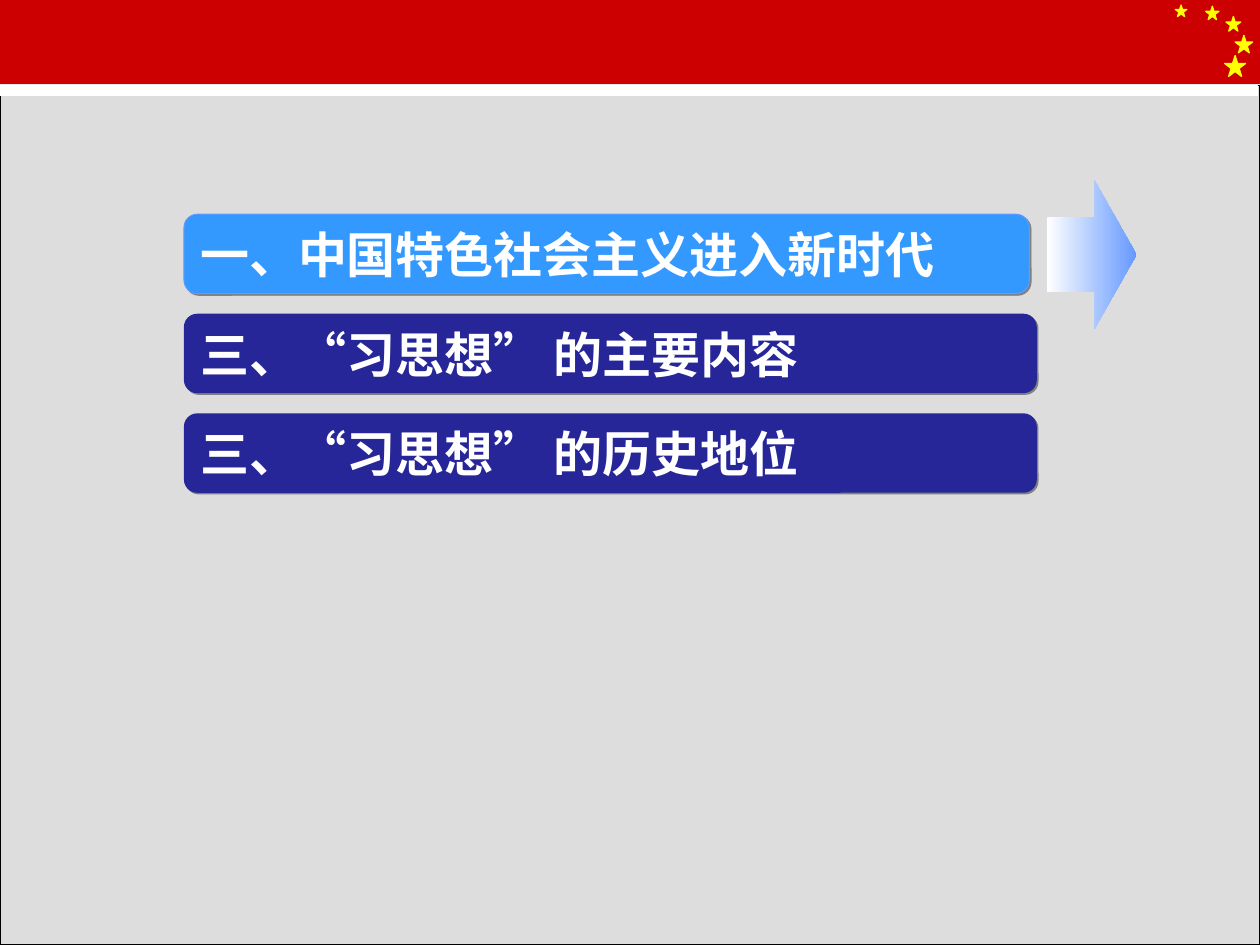
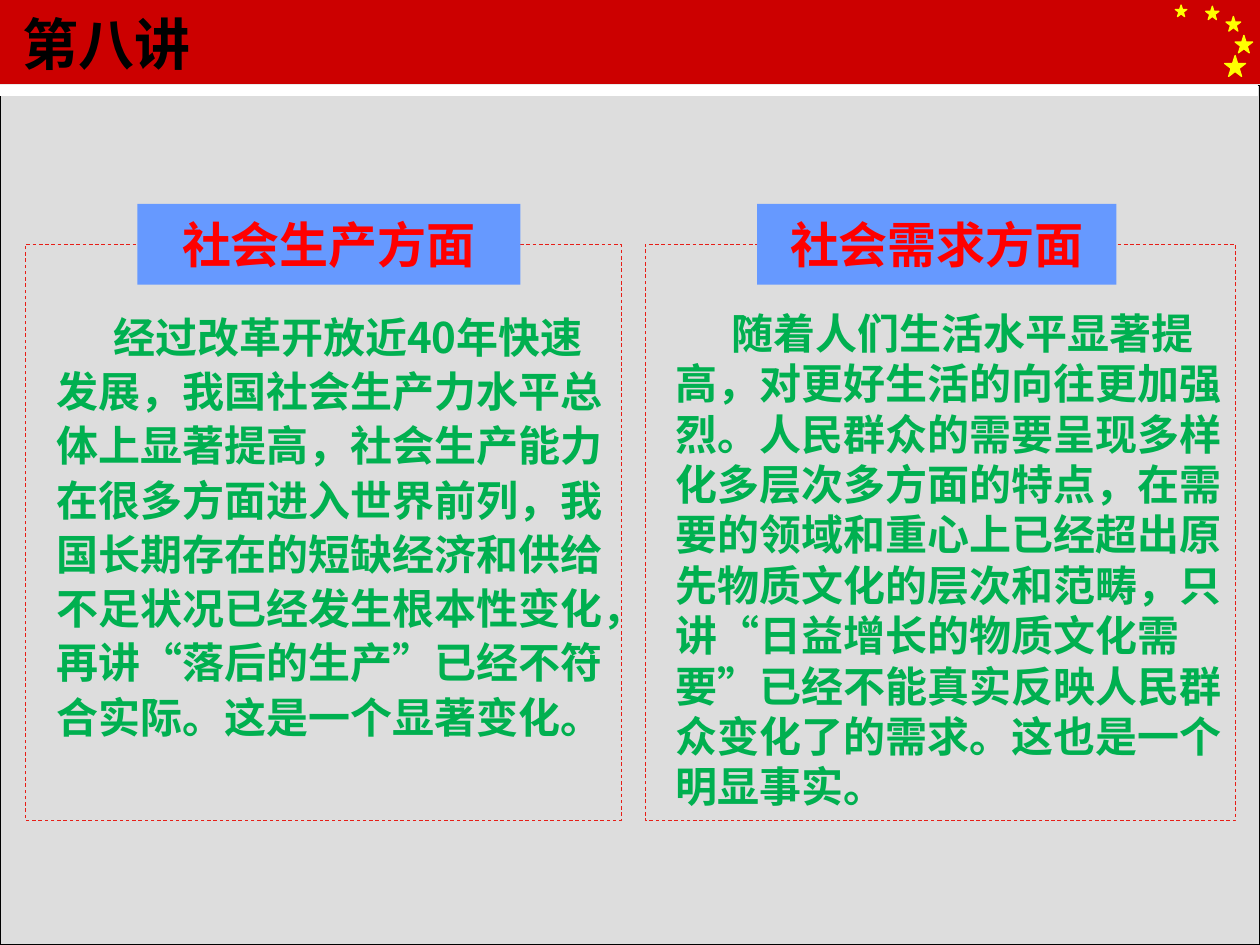
"""Build two lecture slides: an agenda and a two-column comparison."""
from lxml.etree import SubElement
from pptx import Presentation
from pptx.dml.color import RGBColor as RGB
from pptx.enum.dml import MSO_LINE
from pptx.enum.shapes import MSO_SHAPE as SHAPE
from pptx.enum.text import MSO_ANCHOR as ANCHOR, PP_ALIGN as ALIGN
from pptx.oxml.ns import qn
from pptx.util import Pt

AGENDA = ["一、中国特色社会主义进入新时代", "三、“习思想” 的主要内容", "三、“习思想” 的历史地位"]
TITLE = "第八讲"
COLUMNS = [
    dict(heading="社会生产方面", frame=(14.4, 340.6), tab=(78.5, 218.9), text=(25.2, 329), leading=31,
         body="经过改革开放近40年快速发展，我国社会生产力水平总体上显著提高，社会生产能力在很多方面进入世界前列，"
              "我国长期存在的短缺经济和供给不足状况已经发生根本性变化，再讲“落后的生产”已经不符合实际。"
              "这是一个显著变化。"),
    dict(heading="社会需求方面", frame=(368.6, 337.7), tab=(432.7, 205.2), text=(378.7, 327.6), leading=28.8,
         body="随着人们生活水平显著提高，对更好生活的向往更加强烈。人民群众的需要呈现多样化多层次多方面的特点，"
              "在需要的领域和重心上已经超出原先物质文化的层次和范畴，只讲“日益增长的物质文化需要”"
              "已经不能真实反映人民群众变化了的需求。这也是一个明显事实。"),
]
STARS = [(699.8, 31.7, 12), (689, 3.6, 7.6), (671.6, 2.9, 6.6), (700.6, 9.4, 8.4), (705.8, 20.2, 10)]

WIDTH, HEIGHT = 720, 540
BAND_H, PANEL_Y = 48, 49
BAR_X, BAR_Y, BAR_W, BAR_H, BAR_STEP = 105.1, 122.4, 487.4, 45.4, 56.9
CJK, SERIF = "Noto Sans CJK SC", "Times New Roman"

WHITE, BLACK = RGB(255, 255, 255), RGB(0, 0, 0)
BACKDROP, PANEL = RGB(0xEA, 0xEA, 0xEA), RGB(0xDD, 0xDD, 0xDD)
FLAG_RED, YELLOW = RGB(0xCC, 0, 0), RGB(255, 255, 0)
SKY, NAVY, PERIWINKLE = RGB(0x33, 0x99, 0xFF), RGB(0x26, 0x26, 0x99), RGB(0x66, 0x99, 0xFF)
FRAME_RED, RED, GREEN = RGB(0xE7, 0x1E, 0x17), RGB(255, 0, 0), RGB(0, 0xB0, 0x50)


def add_shape(s, kind, x, y, w, h, fill=None, line=None, line_w=0.75):
    sp = s.shapes.add_shape(kind, Pt(x), Pt(y), Pt(w), Pt(h))
    sp.shadow.inherit = False
    if fill is None:
        sp.fill.background()
    else:
        sp.fill.solid()
        sp.fill.fore_color.rgb = fill
    if line is None:
        sp.line.fill.background()
    else:
        sp.line.color.rgb = line
        sp.line.width = Pt(line_w)
    return sp


def write(sp, text, size, color, font=CJK, align=ALIGN.LEFT, anchor=ANCHOR.MIDDLE):
    tf = sp.text_frame
    tf.word_wrap = True
    tf.vertical_anchor = anchor
    p = tf.paragraphs[0]
    p.alignment = align
    r = p.add_run()
    r.text = text
    r.font.size, r.font.bold, r.font.name = Pt(size), True, font
    r.font.color.rgb = color
    SubElement(r.font._element, qn("a:ea"), typeface=CJK)
    return p


def add_textbox(s, x, y, w, h):
    return s.shapes.add_textbox(Pt(x), Pt(y), Pt(w), Pt(h))


def drop_shadow(sp):
    effects = sp._element.spPr.find(qn("a:effectLst"))
    shadow = SubElement(effects, qn("a:outerShdw"), blurRad="0", dist=str(Pt(1.4)),
                        dir="2700000", algn="ctr", rotWithShape="0")
    SubElement(shadow, qn("a:srgbClr"), val="808080")


def new_slide(prs):
    s = prs.slides.add_slide(prs.slide_layouts[6])
    s.background.fill.solid()
    s.background.fill.fore_color.rgb = BACKDROP
    add_shape(s, SHAPE.RECTANGLE, 0, 0, WIDTH, BAND_H, FLAG_RED)
    for x, y, size in STARS:
        add_shape(s, SHAPE.STAR_5_POINT, x, y, size, size, YELLOW, YELLOW)
    add_shape(s, SHAPE.RECTANGLE, 0, PANEL_Y, WIDTH, HEIGHT - PANEL_Y, PANEL, BLACK)
    add_shape(s, SHAPE.RECTANGLE, 0, PANEL_Y, 718.6, 5.6, WHITE, WHITE)
    return s


def build_agenda(prs):
    s = new_slide(prs)
    for i, item in enumerate(AGENDA):
        current = i == 0
        bar = add_shape(s, SHAPE.ROUNDED_RECTANGLE, BAR_X, BAR_Y + i * BAR_STEP,
                        483.1 if current else BAR_W, BAR_H,
                        SKY if current else NAVY, PERIWINKLE if current else None, 0.5)
        drop_shadow(bar)
        write(bar, item, 28, WHITE, SERIF)
    arrow = add_shape(s, SHAPE.RIGHT_ARROW, 598.3, 103, 51.1, 85)
    arrow.adjustments[1] = 0.47
    arrow.fill.gradient()
    arrow.fill.gradient_angle = 0
    for stop, color in zip(arrow.fill.gradient_stops, (WHITE, PERIWINKLE)):
        stop.color.rgb = color


def build_comparison(prs):
    s = new_slide(prs)
    write(add_textbox(s, 5.8, 0, 509.8, PANEL_Y), TITLE, 32, BLACK)
    for col in COLUMNS:
        x, w = col["frame"]
        frame = add_shape(s, SHAPE.RECTANGLE, x, 139.7, w, 329, None, FRAME_RED, 0.5)
        frame.line.dash_style = MSO_LINE.DASH
        x, w = col["tab"]
        tab = add_shape(s, SHAPE.RECTANGLE, x, 116.6, w, 46.1, PERIWINKLE)
        write(tab, col["heading"], 28, RED, align=ALIGN.CENTER)
        x, w = col["text"]
        p = write(add_textbox(s, x, 172.1, w, 295), col["body"], 24, GREEN, anchor=ANCHOR.TOP)
        p.line_spacing = Pt(col["leading"])
        p._p.get_or_add_pPr().set("indent", str(Pt(32.4)))


def main():
    prs = Presentation()
    prs.slide_width, prs.slide_height = Pt(WIDTH), Pt(HEIGHT)
    build_agenda(prs)
    build_comparison(prs)
    prs.save("out.pptx")


if __name__ == "__main__":
    main()
